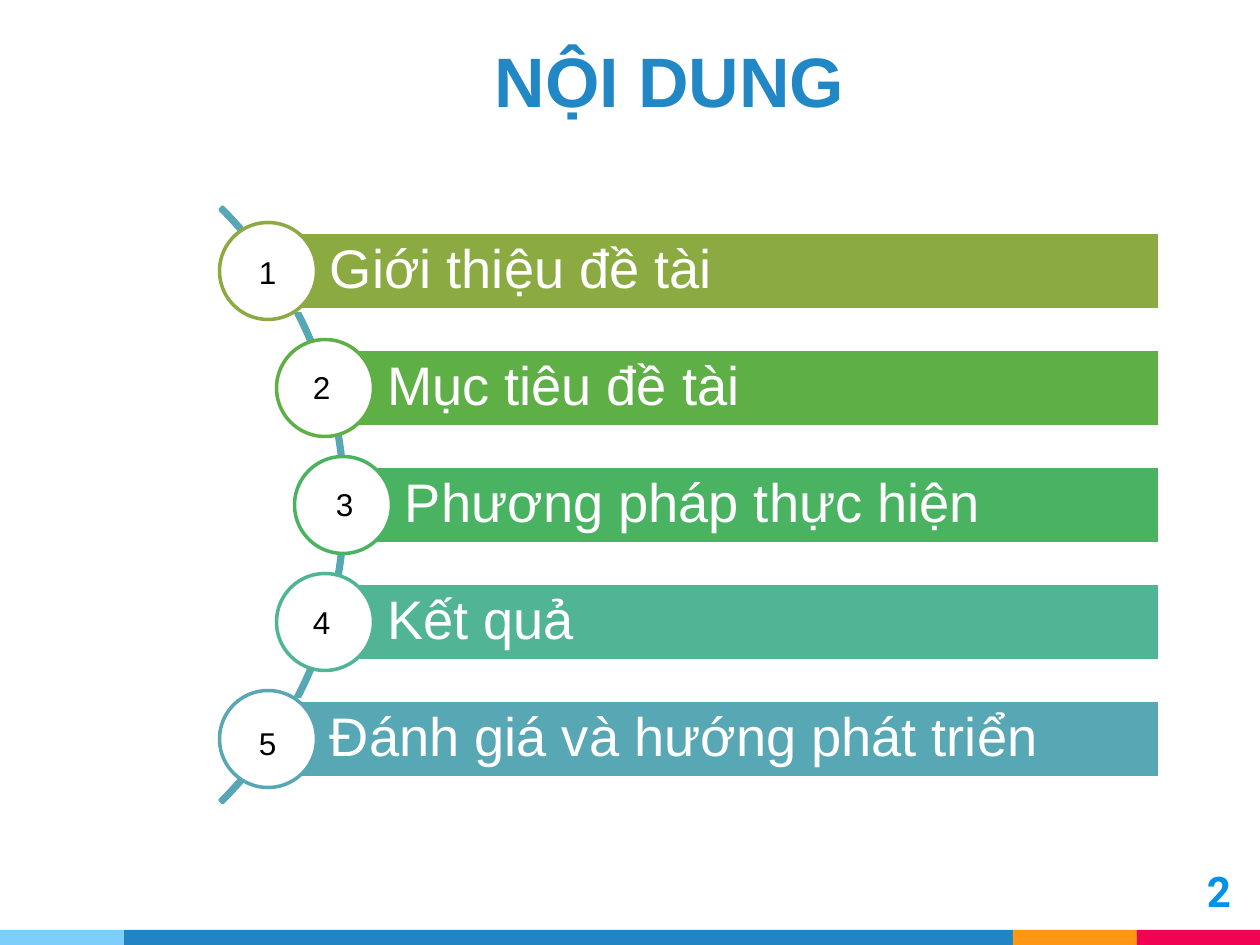
from pptx import Presentation
from pptx.dml.color import RGBColor
from pptx.enum.shapes import MSO_SHAPE
from pptx.enum.text import MSO_ANCHOR, MSO_AUTO_SIZE, PP_ALIGN
from pptx.util import Pt

PX = 914400 / 126
RECT, OVAL, ARC = MSO_SHAPE.RECTANGLE, MSO_SHAPE.OVAL, MSO_SHAPE.BLOCK_ARC
LEFT, CENTER, RIGHT = PP_ALIGN.LEFT, PP_ALIGN.CENTER, PP_ALIGN.RIGHT
TOP, MIDDLE = MSO_ANCHOR.TOP, MSO_ANCHOR.MIDDLE
WHITE, TEAL = "FFFFFF", "57A7B5"

# topic, colour, bar left, number left, number top
TOPICS = [
    ("Giới thiệu đề tài", "8BAB42", 268, 246, 247),
    ("Mục tiêu đề tài", "5EAF46", 325, 300, 362),
    ("Phương pháp thực hiện", "4AB362", 343, 323, 479),
    ("Kết quả", "50B495", 325, 300, 597),
    ("Đánh giá và hướng phát triển", TEAL, 268, 246, 718),
]
# colour, width
STRIPES = [("7ECEFD", 124), ("2185C5", 889), ("FF9715", 124), ("F20253", 123)]

BAR_TOP, BAR_STEP, BAR_HIGH, BAR_END = 232, 117, 78, 1160
DISC = 97


def px(*values):
    return [round(v * PX) for v in values]


def color(code):
    return RGBColor.from_string(code)


def write(shape, text, size, ink, font="Arial", bold=False, align=LEFT,
          anchor=TOP, inset=(13, 13, 13, 13), space=1.0):
    """Fill a shape with one formatted line; inset is left, top, right, bottom."""
    frame = shape.text_frame
    frame.word_wrap = True
    frame.auto_size = MSO_AUTO_SIZE.NONE
    frame.vertical_anchor = anchor
    (frame.margin_left, frame.margin_top,
     frame.margin_right, frame.margin_bottom) = px(*inset)
    para = frame.paragraphs[0]
    para.alignment = align
    para.line_spacing = space
    run = para.add_run()
    run.text = text
    run.font.name = font
    run.font.size = Pt(size)
    run.font.bold = bold
    run.font.color.rgb = color(ink)


def draw(slide, kind, box, fill=None, line=None):
    shape = slide.shapes.add_shape(kind, *px(*box))
    shape.shadow.inherit = False
    if fill:
        shape.fill.solid()
        shape.fill.fore_color.rgb = color(fill)
    else:
        shape.fill.background()
    if line:
        shape.line.color.rgb = color(line)
        shape.line.width = Pt(2)
    else:
        shape.line.fill.background()
    return shape


def label(slide, box, text, **style):
    write(slide.shapes.add_textbox(*px(*box)), text, **style)


def add_title(slide):
    title = slide.shapes.title
    title.left, title.top, title.width, title.height = px(224, 24, 891, 110)
    write(title, "NỘI DUNG", 40, "2187C5", bold=True, align=CENTER,
          anchor=MIDDLE)


def add_footer(slide):
    label(slide, (1168, 852, 76, 58), "2", size=24, ink="0091EA",
          font="Roboto", bold=True, align=RIGHT)
    left = 0
    for fill, width in STRIPES:
        draw(slide, RECT, (left, 930, width, 15), fill)
        left += width


def add_arc(slide):
    arc = draw(slide, ARC, (-496, 84, 842, 842), line=TEAL)
    for i, value in enumerate((189, 27, 0.00432)):
        arc.adjustments[i] = value


def add_topics(slide):
    for i, (text, tint, left, _, _) in enumerate(TOPICS):
        top = BAR_TOP + i * BAR_STEP
        bar = draw(slide, RECT, (left, top, BAR_END - left, BAR_HIGH),
                   tint, WHITE)
        write(bar, text, 31, WHITE, anchor=MIDDLE,
              inset=(62, 11, 11, 11), space=0.9)
        rise = (DISC - BAR_HIGH) / 2
        draw(slide, OVAL, (left - DISC / 2, top - rise, DISC, DISC),
             WHITE, tint)
    for i, (_, _, _, left, top) in enumerate(TOPICS, 1):
        label(slide, (left, top, 52, 50), str(i), size=18, ink="000000",
              inset=(13, 6, 13, 6))


def main():
    deck = Presentation()
    deck.slide_width, deck.slide_height = px(1260, 945)
    slide = deck.slides.add_slide(deck.slide_layouts[5])
    add_title(slide)
    add_footer(slide)
    add_arc(slide)
    add_topics(slide)
    deck.save("out.pptx")


if __name__ == "__main__":
    main()
